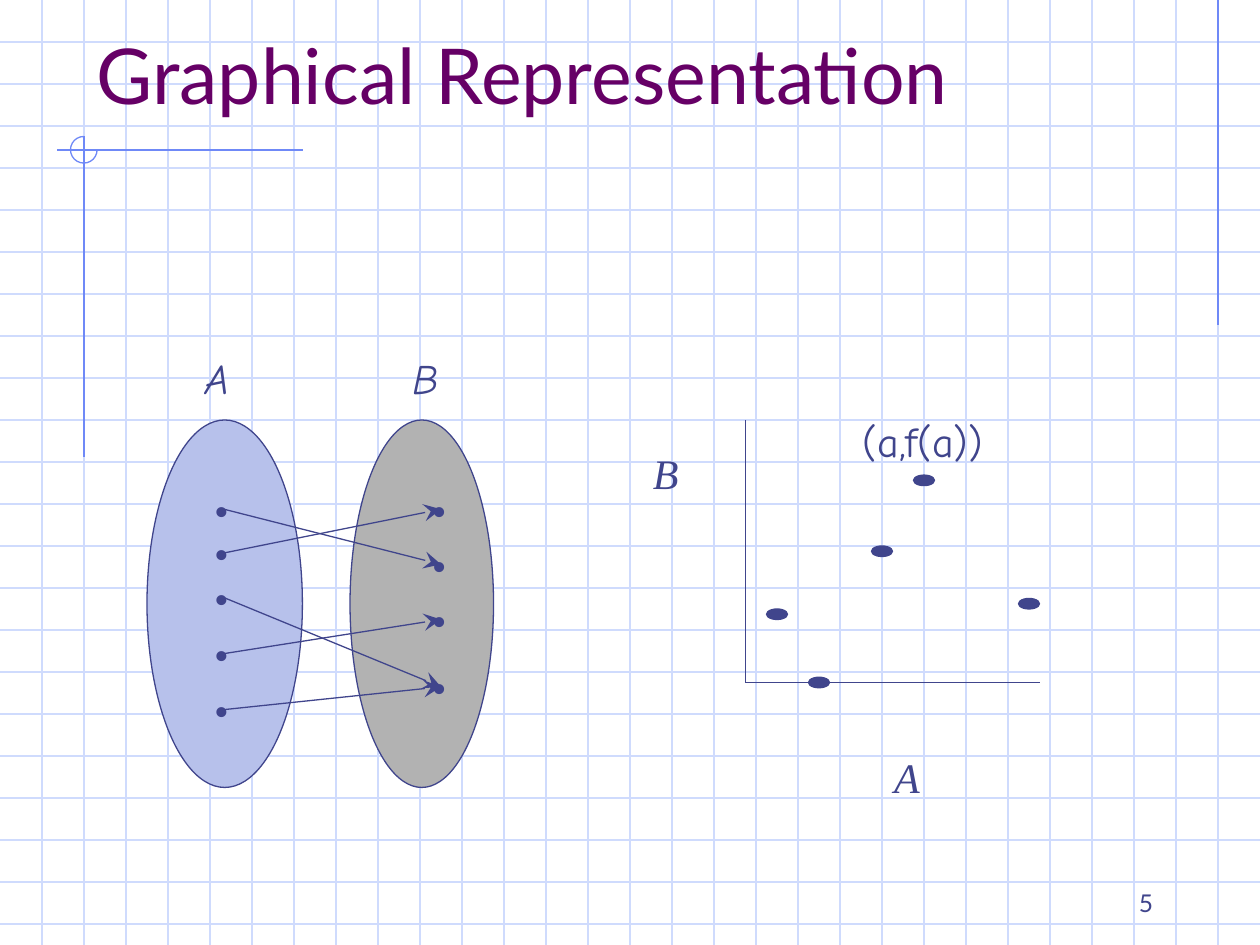
import pptx
import pptx.dml.color
import pptx.enum.shapes
import pptx.enum.text
import pptx.oxml
import pptx.oxml.ns
import pptx.util
from lxml import etree

Pt = pptx.util.Pt
SHAPE = pptx.enum.shapes.MSO_SHAPE
ALIGN = pptx.enum.text.PP_ALIGN
ANCHOR = pptx.enum.text.MSO_ANCHOR
WIDTH, HEIGHT, STEP = 720, 540, 24
GRID, RULE, INK = "CFDBFD", "6F89F7", "40458C"
SERIF, HAND, SANS = "Times New Roman", "Comic Neue", "Lato"


def color(value):
    """Return the colour of a hex string."""
    return pptx.dml.color.RGBColor.from_string(value)


def assign(obj, values):
    """Set each attribute of obj named in values."""
    for name, value in values.items():
        setattr(obj, name, value)


def add_line(s, x1, y1, x2, y2, stroke=INK, arrow=False):
    """Draw a thin straight line, with a stealth head if asked."""
    c = s.shapes.add_connector(
        pptx.enum.shapes.MSO_CONNECTOR.STRAIGHT, Pt(x1), Pt(y1), Pt(x2), Pt(y2))
    c.line.width = Pt(0.75)
    c.line.color.rgb = color(stroke)
    if arrow:
        etree.SubElement(c.line._get_or_add_ln(), pptx.oxml.ns.qn("a:tailEnd"),
                         type="stealth", w="lg", len="lg")
    etree.SubElement(c._element.spPr, pptx.oxml.ns.qn("a:effectLst"))


def add_shape(s, kind, x, y, w, h, fill=None, stroke=INK):
    """Add an outlined preset shape, filled if a colour is given."""
    sp = s.shapes.add_shape(kind, Pt(x), Pt(y), Pt(w), Pt(h))
    sp.shadow.inherit = False
    if fill:
        sp.fill.solid()
        sp.fill.fore_color.rgb = color(fill)
    else:
        sp.fill.background()
    sp.line.width = Pt(0.75)
    sp.line.color.rgb = color(stroke)
    return sp


def write(sp, text, font, size=24, fill=INK, italic=False,
          align=ALIGN.LEFT, anchor=ANCHOR.TOP, wrap=False):
    """Put one formatted paragraph into a shape."""
    tf = sp.text_frame
    assign(tf, {"word_wrap": wrap, "vertical_anchor": anchor,
                "auto_size": pptx.enum.text.MSO_AUTO_SIZE.NONE,
                "margin_left": Pt(7.2), "margin_right": Pt(7.2),
                "margin_top": Pt(3.6), "margin_bottom": Pt(3.6)})
    p = tf.paragraphs[0]
    p.alignment = align
    r = p.add_run()
    r.text = text
    assign(r.font, {"name": font, "size": Pt(size), "bold": False, "italic": italic})
    r.font.color.rgb = color(fill)


def add_text(s, text, x, y, w, h, font, **style):
    """Add a text box with one paragraph."""
    write(s.shapes.add_textbox(Pt(x), Pt(y), Pt(w), Pt(h)), text, font, **style)


def add_background(s):
    """Draw the squared paper and the ruled corner marks."""
    for y in range(STEP, HEIGHT, STEP):
        add_line(s, 0, y, WIDTH, y, GRID)
    for x in range(STEP, WIDTH, STEP):
        add_line(s, x, 0, x, HEIGHT, GRID)
    for ends in ((696, 0, 696, 186), (173, 85.7, 32.4, 85.7), (48, 78, 48, 261)):
        add_line(s, *ends, RULE)
    arc = add_shape(s, SHAPE.ARC, 40.3, 78, 15.2, 15.2, stroke=RULE)
    arc.adjustments[0], arc.adjustments[1] = 0, 162


def add_title(s, text):
    """Place and format the title in front of the grid."""
    t = s.shapes.title
    assign(t, {"left": Pt(48), "top": Pt(24), "width": Pt(648), "height": Pt(48)})
    write(t, text, SANS, size=44, fill="660066", anchor=ANCHOR.BOTTOM, wrap=True)
    t._element.getparent().append(t._element)


def add_mapping(s):
    """Draw sets A and B with arrows between their elements."""
    a_ys, b_ys = (291, 316, 341.5, 373.5, 405.5), (291, 322.5, 354, 392.5)
    add_shape(s, SHAPE.OVAL, 84, 240, 88.8, 210, "B7C1EB")
    add_shape(s, SHAPE.OVAL, 200, 240, 82, 210, "B2B2B2")
    for x, ys in ((126.5, a_ys), (251, b_ys)):
        for y in ys:
            add_text(s, "•", x - 11, y - 18, 22, 36, SERIF,
                     align=ALIGN.CENTER, anchor=ANCHOR.MIDDLE)
    for a, b in enumerate((1, 0, 3, 2, 3)):
        add_line(s, 128, a_ys[a], 252, b_ys[b], arrow=True)
    for name, x in (("A", 110), ("B", 228.5)):
        add_text(s, name, x, 198, 28.5, 36, HAND, italic=True)


def add_plot(s):
    """Draw the axes, their labels and the plotted points."""
    add_line(s, 426, 390, 594, 390)
    add_line(s, 426, 390, 426, 240)
    add_text(s, "A", 504, 426, 28.5, 36, SERIF, italic=True,
             align=ALIGN.CENTER, anchor=ANCHOR.MIDDLE)
    add_text(s, "B", 366, 252, 48, 36, SERIF, italic=True, wrap=True)
    for x, y in ((528, 274.5), (468, 390), (504, 315), (444, 351), (588, 345)):
        add_shape(s, SHAPE.OVAL, x - 6, y - 3, 12, 6, INK)
    add_text(s, "(a,f(a))", 486, 234, 102, 36, HAND, wrap=True)


def main():
    """Build the slide and save it."""
    prs = pptx.Presentation()
    assign(prs, {"slide_width": Pt(WIDTH), "slide_height": Pt(HEIGHT)})
    s = prs.slides.add_slide(prs.slide_layouts.get_by_name("Title Only"))
    add_background(s)
    add_title(s, "Graphical Representation")
    add_mapping(s)
    add_plot(s)
    add_text(s, "5", 516, 510, 150, 18, SANS, size=14, align=ALIGN.RIGHT,
             anchor=ANCHOR.BOTTOM, wrap=True)
    prs.save("out.pptx")


if __name__ == "__main__":
    main()
